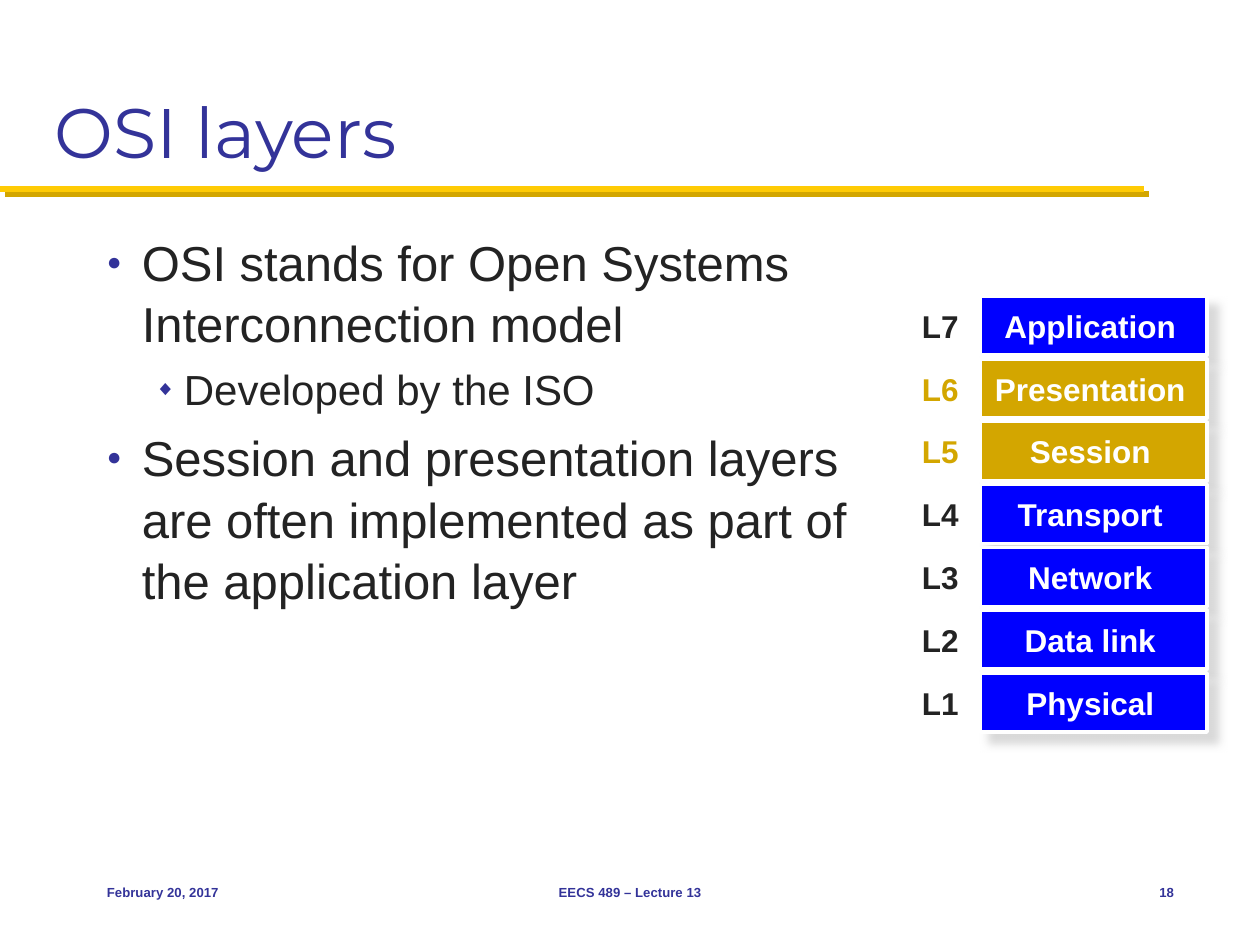
from dataclasses import dataclass

from lxml import etree
from pptx import Presentation
from pptx.dml.color import RGBColor
from pptx.enum.shapes import MSO_CONNECTOR, MSO_SHAPE
from pptx.enum.text import MSO_ANCHOR, MSO_AUTO_SIZE, PP_ALIGN
from pptx.oxml.ns import qn
from pptx.util import Pt

RECT = MSO_SHAPE.RECTANGLE
STRAIGHT = MSO_CONNECTOR.STRAIGHT
TOP, MIDDLE, BOTTOM = MSO_ANCHOR.TOP, MSO_ANCHOR.MIDDLE, MSO_ANCHOR.BOTTOM
LEFT, CENTER, RIGHT = PP_ALIGN.LEFT, PP_ALIGN.CENTER, PP_ALIGN.RIGHT
NO_FIT = MSO_AUTO_SIZE.NONE


@dataclass(frozen=True)
class Theme:
    heading_font: str = "Montserrat"
    body_font: str = "Arial"
    navy: str = "333399"
    ink: str = "232323"
    blue: str = "0000FF"
    gold: str = "D3A600"
    maize: str = "FFCB05"
    white: str = "FFFFFF"
    shade: str = "CECECE"
    title_size: float = 40
    body_sizes: tuple = (28, 24)
    layer_size: float = 18
    footer_size: float = 7.5


THEME = Theme()
LEVELS = (("●", 20, -20), ("◆", 44, -16.5))
BULLETS = (
    (0, "OSI stands for Open Systems Interconnection model"),
    (1, "Developed by the ISO"),
    (0, "Session and presentation layers are often implemented as part of "
        "the application layer"),
)
LAYERS = ("Application", "Presentation", "Session", "Transport",
          "Network", "Data link", "Physical")
MERGED_LAYERS = ("Presentation", "Session")


def rgb(value):
    return RGBColor.from_string(value)


def add_run(p, text, size, color, font=THEME.body_font, bold=False):
    r = p.add_run()
    r.text = text
    r.font.name = font
    r.font.size = Pt(size)
    r.font.bold = bold
    r.font.color.rgb = rgb(color)


def set_frame(tf, anchor, wrap=True, insets=(7.2, 3.6, 7.2, 3.6)):
    tf.auto_size = NO_FIT
    tf.word_wrap = wrap
    tf.vertical_anchor = anchor
    tf.margin_left, tf.margin_top, tf.margin_right, tf.margin_bottom = map(Pt, insets)


def add_label(slide, box, text, size, color, align=LEFT, anchor=MIDDLE):
    sp = slide.shapes.add_textbox(*map(Pt, box))
    set_frame(sp.text_frame, anchor, wrap=False)
    p = sp.text_frame.paragraphs[0]
    p.alignment = align
    add_run(p, text, size, color, bold=True)


def add_shadow(sp, color, alpha, blur, dist):
    sp_pr = sp._element.spPr
    effects = sp_pr.find(qn("a:effectLst"))
    if effects is None:
        effects = etree.SubElement(sp_pr, qn("a:effectLst"))
    shadow = etree.SubElement(
        effects, qn("a:outerShdw"), blurRad=str(Pt(blur)), dist=str(Pt(dist)),
        dir=str(45 * 60000), algn="tl", rotWithShape="0")
    clr = etree.SubElement(shadow, qn("a:srgbClr"), val=color)
    etree.SubElement(clr, qn("a:alpha"), val=str(alpha * 1000))


def set_bullet(p, char, margin, indent):
    p_pr = p._p.get_or_add_pPr()
    p_pr.set("marL", str(Pt(margin)))
    p_pr.set("indent", str(Pt(indent)))
    clr = etree.SubElement(p_pr, qn("a:buClr"))
    etree.SubElement(clr, qn("a:srgbClr"), val=THEME.navy)
    etree.SubElement(p_pr, qn("a:buSzPct"), val="50000")
    etree.SubElement(p_pr, qn("a:buFont"), typeface=THEME.body_font)
    etree.SubElement(p_pr, qn("a:buChar"), char=char)


def add_title(slide, box, text):
    title = slide.shapes.title
    title.left, title.top, title.width, title.height = map(Pt, box)
    set_frame(title.text_frame, BOTTOM)
    p = title.text_frame.paragraphs[0]
    p.alignment = LEFT
    add_run(p, text, THEME.title_size, THEME.navy, THEME.heading_font)


def add_rule(slide, box):
    x, y, w, h = box
    line = slide.shapes.add_connector(STRAIGHT, Pt(x), Pt(y), Pt(x + w), Pt(y))
    line.line.color.rgb = rgb(THEME.maize)
    line.line.width = Pt(h)
    add_shadow(line, THEME.gold, 100, 0, 4.2)


def add_body(slide, box, bullets):
    sp = slide.shapes.add_textbox(*map(Pt, box))
    tf = sp.text_frame
    set_frame(tf, TOP, insets=(7.2, 5.4, 7.2, 3.6))
    for i, (level, text) in enumerate(bullets):
        p = tf.add_paragraph() if i else tf.paragraphs[0]
        size = THEME.body_sizes[level]
        p.level = level
        set_bullet(p, *LEVELS[level])
        p.line_spacing = 1.04
        if i:
            p.space_before = Pt(round(size * 0.23, 1))
        add_run(p, text, size, THEME.ink)


def add_layer(slide, box, name):
    sp = slide.shapes.add_shape(RECT, *map(Pt, box))
    sp.fill.solid()
    sp.fill.fore_color.rgb = rgb(THEME.gold if name in MERGED_LAYERS else THEME.blue)
    sp.line.color.rgb = rgb(THEME.white)
    sp.line.width = Pt(2)
    sp.shadow.inherit = False
    add_shadow(sp, THEME.shade, 75, 5, 8)
    set_frame(sp.text_frame, MIDDLE, wrap=False, insets=(3, 3, 7, 3))
    p = sp.text_frame.paragraphs[0]
    p.alignment = CENTER
    add_run(p, name, THEME.layer_size, THEME.white, bold=True)


def add_stack(slide, box, layers):
    x, y, w, h = box
    label_w, label_h, box_x, box_h = 36, 29, 40.4, 33.8
    pitch = (h - box_h) / (len(layers) - 1)
    for i, name in enumerate(layers):
        top = y + i * pitch
        color = THEME.gold if name in MERGED_LAYERS else THEME.ink
        add_layer(slide, (x + box_x, top, w - box_x, box_h), name)
        add_label(slide, (x, top + (box_h - label_h) / 2, label_w, label_h),
                  f"L{len(layers) - i}", THEME.layer_size, color)


def add_footer(slide, box, date, course, number):
    x, y, w, h = box
    parts = ((0, 150, date, LEFT), (192, 228, course, CENTER), (w - 48, 48, number, RIGHT))
    for dx, width, text, align in parts:
        add_label(slide, (x + dx, y, width, h), text, THEME.footer_size, THEME.navy, align)


def main():
    prs = Presentation()
    prs.slide_width, prs.slide_height = Pt(720), Pt(540)
    slide = prs.slides.add_slide(prs.slide_layouts[5])
    add_rule(slide, (0, 108, 653.8, 3.5))
    add_title(slide, (24, 12, 672, 90), "OSI layers")
    add_body(slide, (54, 126, 446, 348), BULLETS)
    add_stack(slide, (519.8, 169.2, 170, 249.2), LAYERS)
    add_footer(slide, (54, 492, 624, 36), "February 20, 2017", "EECS 489 – Lecture 13", "18")
    prs.save("out.pptx")


if __name__ == "__main__":
    main()
